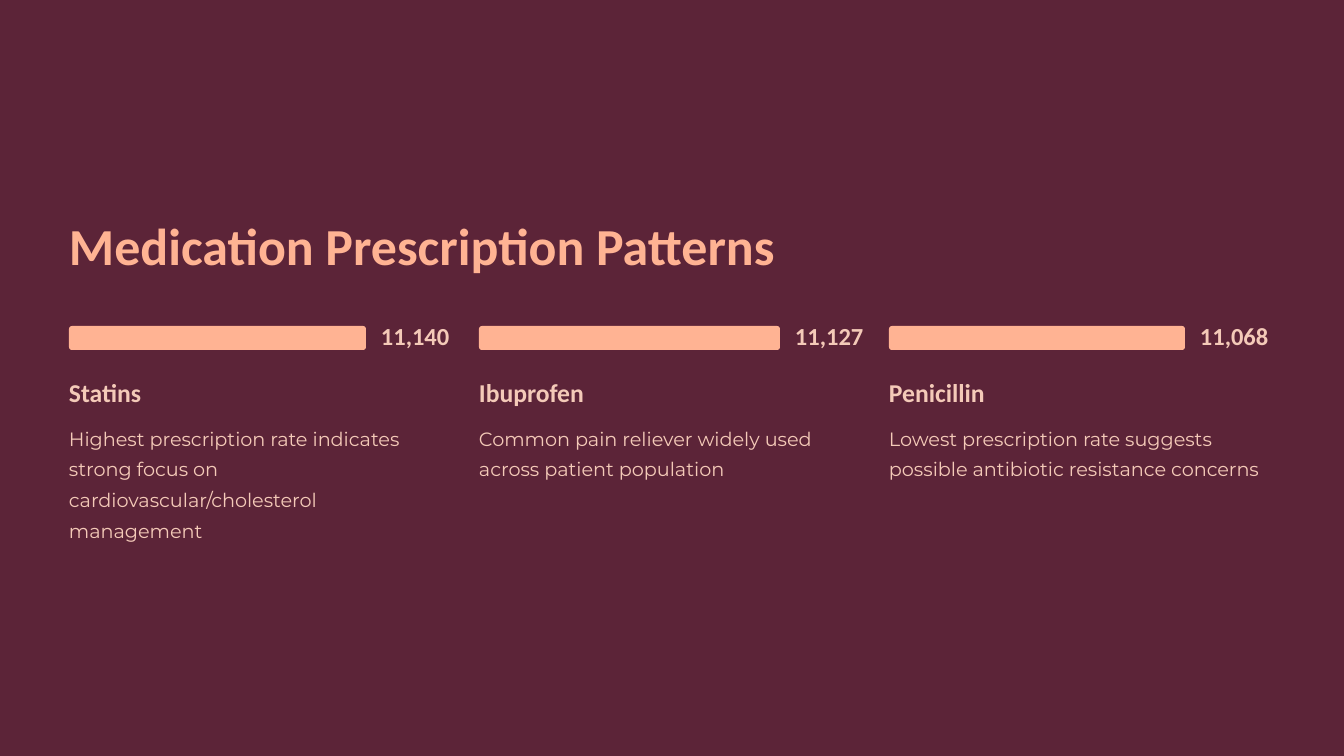
from dataclasses import dataclass

from pptx import Presentation
from pptx import util as u
from pptx.dml.color import RGBColor
from pptx.enum import shapes, text

PX = u.Inches(1) / 84


@dataclass(frozen=True)
class Style:
    font: str
    size: float
    leading: float
    color: str
    bold: bool = True


class Theme:
    background = "5C2438"
    accent = "FFB393"
    soft = "F4CAB8"
    title = Style("Calibri", 44.5, 56, accent)
    value = Style("Calibri", 21, 21, soft)
    name = Style("Calibri", 22, 28, soft)
    note = Style("Montserrat", 16.5, 26.5, soft, bold=False)


# Name, prescriptions, bar length in px, remark
MEDICATIONS = [
    ("Statins", "11,140", 297,
     "Highest prescription rate indicates strong focus on "
     "cardiovascular/cholesterol management"),
    ("Ibuprofen", "11,127", 301,
     "Common pain reliever widely used across patient population"),
    ("Penicillin", "11,068", 296,
     "Lowest prescription rate suggests possible antibiotic resistance concerns"),
]


def px(*lengths):
    return [u.Emu(round(length * PX)) for length in lengths]


def write(holder, words, style, wrap=True):
    frame = holder.text_frame
    frame.text = words
    frame.margin_left = frame.margin_right = 0
    frame.margin_top = frame.margin_bottom = 0
    frame.auto_size = text.MSO_AUTO_SIZE.NONE
    frame.vertical_anchor = text.MSO_ANCHOR.TOP
    frame.word_wrap = wrap
    paragraph = frame.paragraphs[0]
    paragraph.alignment = text.PP_ALIGN.LEFT
    paragraph.line_spacing = u.Pt(style.leading)
    paragraph.font.name = style.font
    paragraph.font.size = u.Pt(style.size)
    paragraph.font.bold = style.bold
    paragraph.font.color.rgb = RGBColor.from_string(style.color)


def add_text(slide, box, words, style, wrap=True):
    write(slide.shapes.add_textbox(*px(*box)), words, style, wrap)


def place_title(slide, box, words):
    title = slide.shapes.title
    title.left, title.top, title.width, title.height = px(*box)
    write(title, words, Theme.title)


def add_medication(slide, box, name, count, length, remark):
    left, top, width, height = box
    bar_height, value_gap, name_top, note_top = 24, 15, 49, 93

    # Bar with its value
    bar = slide.shapes.add_shape(shapes.MSO_SHAPE.ROUNDED_RECTANGLE,
                                 *px(left, top, length, bar_height))
    bar.adjustments[0] = 0.12
    bar.shadow.inherit = False
    bar.fill.solid()
    bar.fill.fore_color.rgb = RGBColor.from_string(Theme.accent)
    bar.line.fill.background()
    offset = length + value_gap
    add_text(slide, (left + offset, top, width - offset, bar_height),
             count, Theme.value, wrap=False)

    # Name and remark
    add_text(slide, (left, top + name_top, width, 33), name, Theme.name)
    add_text(slide, (left, top + note_top, width, height - note_top),
             remark, Theme.note)


def add_medications(slide, box):
    left, top, width, height = box
    gap = 24
    count = len(MEDICATIONS)
    column = (width - gap * (count - 1)) // count
    for index, medication in enumerate(MEDICATIONS):
        column_left = left + index * (column + gap)
        add_medication(slide, (column_left, top, column, height), *medication)


def main():
    deck = Presentation()
    deck.slide_width, deck.slide_height = px(1344, 756)
    slide = deck.slides.add_slide(deck.slide_layouts.get_by_name("Title Only"))
    slide.background.fill.solid()
    slide.background.fill.fore_color.rgb = RGBColor.from_string(Theme.background)

    place_title(slide, (69, 211, 843, 66), "Medication Prescription Patterns")
    add_medications(slide, (69, 326, 1206, 219))
    deck.save("out.pptx")


if __name__ == "__main__":
    main()
